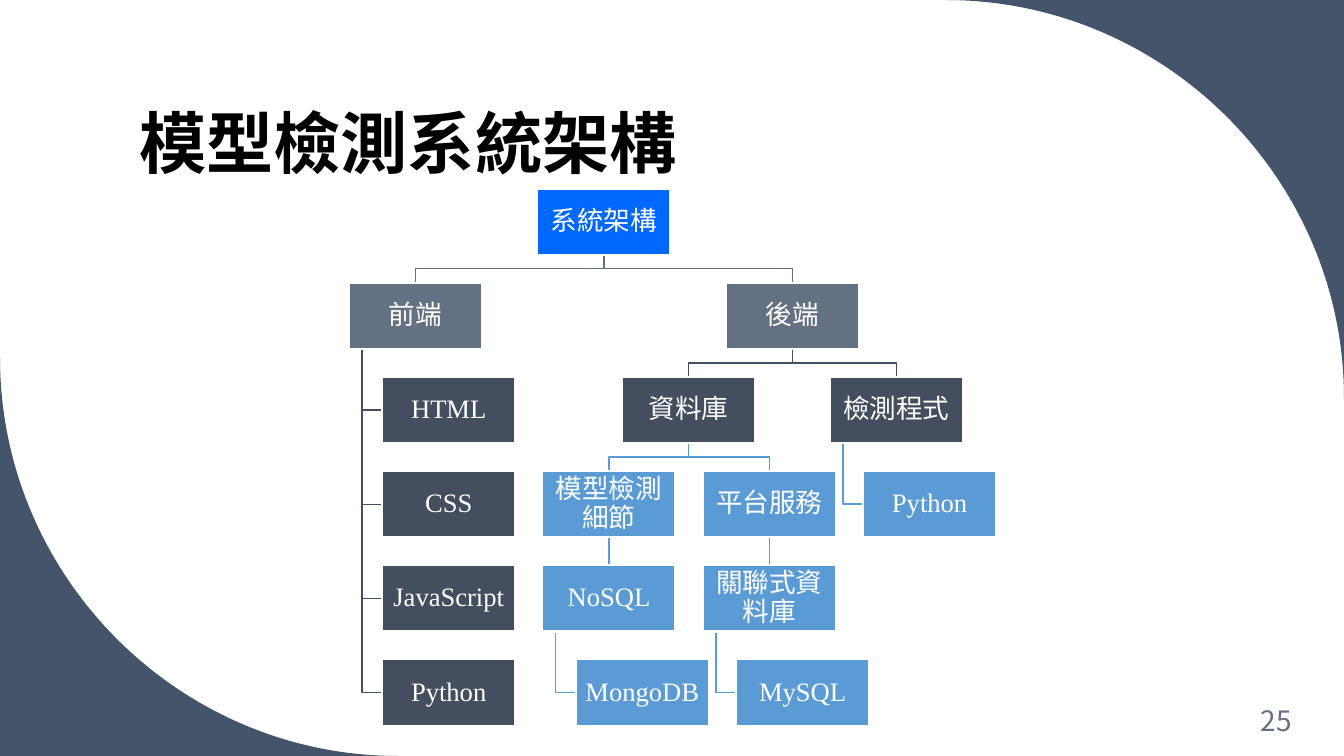
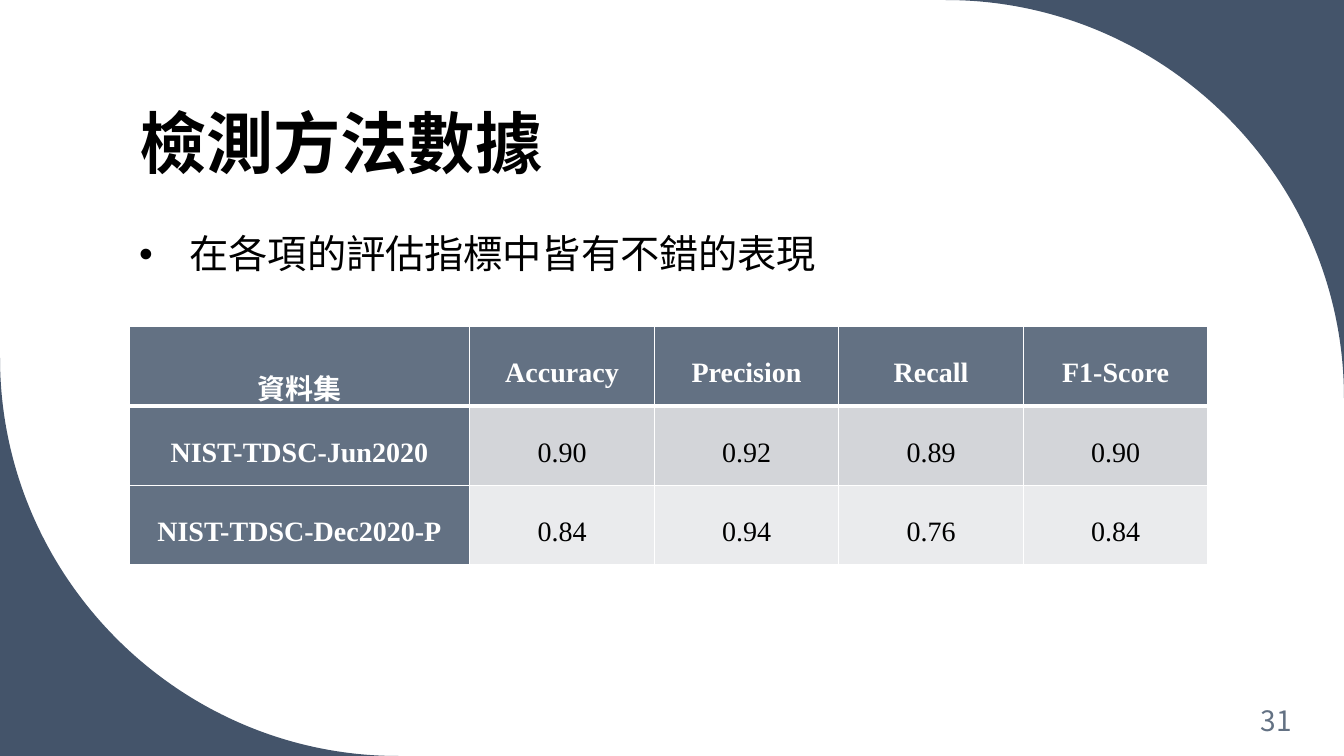
"""Build a system architecture tree slide and a detection metrics slide."""
from lxml import etree
from pptx import Presentation
from pptx import util as u
from pptx.dml.color import RGBColor
from pptx.enum import shapes, text
from pptx.oxml import ns

NAVY, SLATE, DARK, SKY, BLUE = "44546A", "637183", "434E5E", "5B9BD5", "0068FF"
WHITE, BLACK = "FFFFFF", "000000"
SANS, SERIF = "Noto Sans CJK TC", "Times New Roman"
LEFT, CENTER, RIGHT = text.PP_ALIGN.LEFT, text.PP_ALIGN.CENTER, text.PP_ALIGN.RIGHT
TOP, MIDDLE, BOTTOM = text.MSO_ANCHOR.TOP, text.MSO_ANCHOR.MIDDLE, text.MSO_ANCHOR.BOTTOM


def color(value):
    return RGBColor.from_string(value)


def write(frame, words, size, fill, name=SANS, bold=False, align=LEFT, anchor=MIDDLE, spacing=0.9):
    frame.word_wrap = True
    frame.vertical_anchor = anchor
    para = frame.paragraphs[0]
    for key, value in {"alignment": align, "line_spacing": spacing, "space_before": u.Pt(0)}.items():
        setattr(para, key, value)
    span = para.add_run()
    span.text = words
    for key, value in {"size": u.Pt(size), "bold": bold, "name": name}.items():
        setattr(span.font, key, value)
    span.font.color.rgb = color(fill)
    east = etree.SubElement(span.font._element, ns.qn("a:ea"))
    east.set("typeface", SANS)
    return para


deck = Presentation()
deck.slide_width, deck.slide_height = u.Inches(13.33), u.Inches(7.5)
tree_page = deck.slides.add_slide(deck.slide_layouts[5])
data_page = deck.slides.add_slide(deck.slide_layouts[1])

RADIUS = u.Inches(3.95)
BEND = round(RADIUS * 0.55)
WIDTH, HEIGHT = deck.slide_width, deck.slide_height
master_tree = deck.slide_master.shapes._spTree
for corner_x, corner_y, sign in [(WIDTH, 0, 1), (0, HEIGHT, -1)]:
    reach = sign * RADIUS
    outline = tree_page.shapes.build_freeform(corner_x, corner_y)
    outline.add_line_segments([(corner_x - reach, corner_y), (corner_x, corner_y + reach)], close=True)
    corner = outline.convert_to_shape()
    corner.shadow.inherit = False
    corner.fill.solid()
    corner.fill.fore_color.rgb = color(NAVY)
    corner.line.fill.background()
    arc = corner._element.findall(".//" + ns.qn("a:lnTo"))[1]
    arc.tag = ns.qn("a:cubicBezTo")
    origin_x, origin_y = corner_x - corner.left, corner_y - corner.top
    controls = [
        (origin_x - reach + sign * BEND, origin_y),
        (origin_x, origin_y + reach - sign * BEND),
    ]
    for index, (x, y) in enumerate(controls):
        point = etree.Element(ns.qn("a:pt"))
        point.set("x", str(x))
        point.set("y", str(y))
        arc.insert(index, point)
    master_tree.insert(2, corner._element)

for page, heading, number in [(tree_page, "模型檢測系統架構", "25"), (data_page, "檢測方法數據", "31")]:
    title = page.shapes.title
    for key, value in {"left": 1.28, "top": 0.42, "width": 10.69, "height": 1.45}.items():
        setattr(title, key, u.Inches(value))
    title.text_frame.auto_size = text.MSO_AUTO_SIZE.NONE
    write(title.text_frame, heading, 48, BLACK, bold=True, anchor=BOTTOM)
    box = page.shapes.add_textbox(u.Inches(11.1), u.Inches(6.95), u.Inches(1.81), u.Inches(0.4))
    write(box.text_frame, number, 20, SLATE, align=RIGHT, spacing=1.0)

BOX_WIDTH, BOX_HEIGHT, ROW_TOP, ROW_STEP = 1.32, 0.66, 1.87, 4.67 / 5
INDENT, STEM, STRAIGHT_WIDTH = 0.33, 0.13, u.Inches(0.1)
nodes = [
    ("root", "系統架構", 0, BLUE, None, 5.33),
    ("front", "前端", 1, SLATE, "root", 3.46),
    ("html", "HTML", 2, DARK, "front", None),
    ("css", "CSS", 3, DARK, "front", None),
    ("script", "JavaScript", 4, DARK, "front", None),
    ("front_python", "Python", 5, DARK, "front", None),
    ("back", "後端", 1, SLATE, "root", 7.2),
    ("database", "資料庫", 2, DARK, "back", 6.17),
    ("details", "模型檢測細節", 3, SKY, "database", 5.38),
    ("nosql", "NoSQL", 4, SKY, "details", 5.38),
    ("mongo", "MongoDB", 5, SKY, "nosql", None),
    ("service", "平台服務", 3, SKY, "database", 6.97),
    ("relational", "關聯式資料庫", 4, SKY, "service", 6.97),
    ("mysql", "MySQL", 5, SKY, "relational", None),
    ("program", "檢測程式", 2, DARK, "back", 8.23),
    ("back_python", "Python", 3, SKY, "program", None),
]
places = {}
for key, label, level, fill, parent, left in nodes:
    hangs = left is None
    left = places[parent][0] + INDENT if hangs else left
    top = ROW_TOP + level * ROW_STEP
    places[key] = (left, top)
    if parent is None:
        continue
    parent_left, parent_top = places[parent]
    bottom = parent_top + BOX_HEIGHT
    start, end = parent_left + BOX_WIDTH / 2, left + BOX_WIDTH / 2
    straight = not hangs and start == end
    if hangs:
        stem, middle = parent_left + STEM, top + BOX_HEIGHT / 2
        points = [(stem, bottom), (stem, middle), (left, middle)]
    elif straight:
        points = [(start, bottom), (end, top)]
    else:
        middle = (bottom + top) / 2
        points = [(start, bottom), (start, middle), (end, middle), (end, top)]
    points = [(u.Inches(x), u.Inches(y)) for x, y in points]
    outline = tree_page.shapes.build_freeform(*points[0])
    outline.add_line_segments(points[1:], close=False)
    link = outline.convert_to_shape()
    link.shadow.inherit = False
    link.fill.background()
    link.line.color.rgb = color(fill)
    link.line.width = u.Pt(1)
    if straight:
        link.left -= STRAIGHT_WIDTH // 2
        link.width = STRAIGHT_WIDTH
        link._element.find(".//" + ns.qn("a:path")).set("w", str(STRAIGHT_WIDTH))
        for point in link._element.iter(ns.qn("a:pt")):
            point.set("x", str(STRAIGHT_WIDTH // 2))

for key, label, level, fill, parent, left in nodes:
    left, top = places[key]
    box = tree_page.shapes.add_shape(
        shapes.MSO_SHAPE.RECTANGLE, u.Inches(left), u.Inches(top), u.Inches(BOX_WIDTH), u.Inches(BOX_HEIGHT)
    )
    box.shadow.inherit = False
    box.fill.solid()
    box.fill.fore_color.rgb = color(fill)
    box.line.color.rgb = color(WHITE)
    box.line.width = u.Pt(1.5)
    for side in ("left", "right", "top", "bottom"):
        setattr(box.text_frame, "margin_" + side, u.Inches(0.01))
    write(box.text_frame, label, 19, WHITE, name=SERIF, align=CENTER)

body = data_page.placeholders[1]
for key, value in {"left": 1.28, "top": 2.28, "width": 10.69, "height": 3.68}.items():
    setattr(body, key, u.Inches(value))
body.text_frame.auto_size = text.MSO_AUTO_SIZE.NONE
para = write(body.text_frame, "在各項的評估指標中皆有不錯的表現", 28, BLACK, anchor=TOP)
for key, value in {"marL": 0.5, "indent": -0.5}.items():
    para._p.get_or_add_pPr().set(key, str(u.Inches(value)))

rows = [
    ("資料集", "Accuracy", "Precision", "Recall", "F1-Score"),
    ("NIST-TDSC-Jun2020", "0.90", "0.92", "0.89", "0.90"),
    ("NIST-TDSC-Dec2020-P", "0.84", "0.94", "0.76", "0.84"),
]
row_fills = [SLATE, "D3D5D9", "EAEBED"]
table = data_page.shapes.add_table(
    len(rows), len(rows[0]), u.Inches(1.28), u.Inches(3.24), u.Inches(10.7), u.Inches(2.36)
).table
for index, column in enumerate(table.columns):
    column.width = u.Inches(1.83 if index else 3.38)
for row_index, values in enumerate(rows):
    for column_index, value in enumerate(values):
        cell = table.cell(row_index, column_index)
        is_header = row_index == 0 or column_index == 0
        for side, margin in {"left": 0.07, "right": 0.07, "top": 0, "bottom": 0}.items():
            setattr(cell, "margin_" + side, u.Inches(margin))
        for edge in "LRTB":
            heavy = (row_index, edge) in [(0, "B"), (1, "T")]
            border = etree.SubElement(cell._tc.get_or_add_tcPr(), ns.qn("a:ln" + edge))
            border.set("w", str(u.Pt(3 if heavy else 1)))
            paint = etree.SubElement(border, ns.qn("a:solidFill"))
            etree.SubElement(paint, ns.qn("a:srgbClr")).set("val", WHITE)
        cell.fill.solid()
        cell.fill.fore_color.rgb = color(SLATE if is_header else row_fills[row_index])
        cell.vertical_anchor = TOP
        write(
            cell.text_frame, value, 20, WHITE if is_header else BLACK,
            name=SANS if row_index == column_index == 0 else SERIF,
            bold=is_header, align=CENTER, anchor=None, spacing=2.0,
        )

deck.save("out.pptx")
